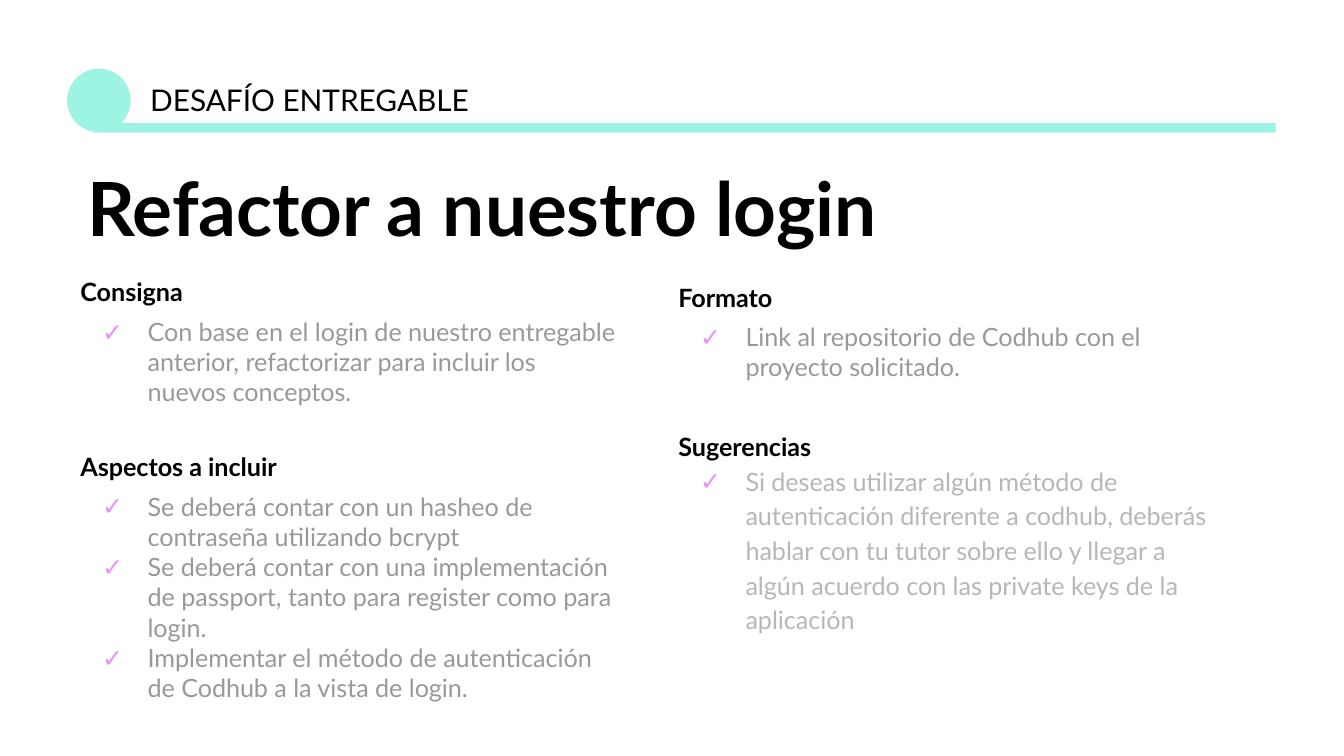
from lxml.etree import SubElement as Sub
from pptx import Presentation as Deck
from pptx.dml.color import RGBColor as Rgb
from pptx.enum.shapes import MSO_SHAPE as Kind
from pptx.enum.text import MSO_ANCHOR as Anchor, MSO_AUTO_SIZE as Auto, PP_ALIGN as Align
from pptx.oxml.ns import qn
from pptx.util import Cm, Pt

HUES = {"mint": "9DF4E2", "mark": "EA90FF", "ink": "000000",
        "gray": "999999", "pale": "B7B7B7"}
FONT = "Lato"

LEFT = [
    ("Consigna", 5, 1, "gray", [
        "Con base en el login de nuestro entregable anterior, refactorizar "
        "para incluir los nuevos conceptos."]),
    ("Aspectos a incluir", 5, 1, "gray", [
        "Se deberá contar con un hasheo de contraseña utilizando bcrypt",
        "Se deberá contar con una implementación de passport, tanto para "
        "register como para login.",
        "Implementar el método de autenticación de Codhub a la vista de login."]),
]
RIGHT = [
    ("Formato", 5, 1, "gray", [
        "Link al repositorio de Codhub con el proyecto solicitado."]),
    ("Sugerencias", 0, 1.15, "pale", [
        "Si deseas utilizar algún método de autenticación diferente a codhub, "
        "deberás hablar con tu tutor sobre ello y llegar a algún acuerdo con "
        "las private keys de la aplicación"]),
]


def place(shape, x, y, wide, high):
    shape.left, shape.top, shape.width, shape.height = Cm(x), Cm(y), Cm(wide), Cm(high)


def frame(shape):
    body = shape.text_frame
    body.word_wrap = True
    body.auto_size = Auto.NONE
    body.vertical_anchor = Anchor.TOP
    body.margin_left = body.margin_right = Cm(0.25)
    body.margin_top = body.margin_bottom = Cm(0.25)
    return body


def write(para, text, size, hue, bold=False, lines=1, before=0, after=0):
    para.alignment = Align.LEFT
    para.line_spacing = lines
    para.space_before, para.space_after = Pt(before), Pt(after)
    run = para.add_run()
    run.text = text
    font = run.font
    font.name, font.size, font.bold = FONT, Pt(size), bold
    font.color.rgb = Rgb.from_string(HUES[hue])


def bullet(para, mark=None):
    props = para._p.get_or_add_pPr()
    props.set("marL", str(Cm(1.27) if mark else 0))
    props.set("indent", str(Cm(-0.86) if mark else 0))
    if mark:
        Sub(Sub(props, qn("a:buClr")), qn("a:srgbClr"), val=HUES["mark"])
        Sub(props, qn("a:buFont"), typeface=FONT)
        Sub(props, qn("a:buChar"), char=mark)
    else:
        Sub(props, qn("a:buNone"))


def column(shape, x, y, high, parts):
    place(shape, x, y, 10.64, high)
    body = frame(shape)
    for num, (head, gap, lines, hue, items) in enumerate(parts):
        para = body.add_paragraph() if num else body.paragraphs[0]
        bullet(para)
        write(para, head, 13.5, "ink", True, lines, 24 if num else 0, gap)
        for item in items:
            para = body.add_paragraph()
            bullet(para, "✓")
            write(para, item, 13.5, hue, lines=lines)


def solid(slide, kind, x, y, wide, high):
    shape = slide.shapes.add_shape(kind, Cm(x), Cm(y), Cm(wide), Cm(high))
    shape.shadow.inherit = False
    shape.fill.solid()
    shape.fill.fore_color.rgb = Rgb.from_string(HUES["mint"])
    shape.line.fill.background()


def main():
    deck = Deck()
    deck.slide_width, deck.slide_height = Cm(25.4), Cm(14.29)
    slide = deck.slides.add_slide(deck.slide_layouts[3])
    title, left, right = slide.placeholders

    solid(slide, Kind.OVAL, 1.27, 1.3, 1.2, 1.2)
    solid(slide, Kind.RECTANGLE, 1.78, 2.33, 22.33, 0.18)

    label = slide.shapes.add_textbox(Cm(2.59), Cm(1.3), Cm(6.83), Cm(1.2))
    write(frame(label).paragraphs[0], "DESAFÍO ENTREGABLE", 16, "ink")

    place(title, 1.4, 3, 20.29, 2.06)
    write(frame(title).paragraphs[0], "Refactor a nuestro login", 40, "ink", True, 0.9)

    column(left, 1.27, 4.98, 9.22, LEFT)
    column(right, 12.57, 5.08, 7.19, RIGHT)
    deck.save("out.pptx")


if __name__ == "__main__":
    main()
